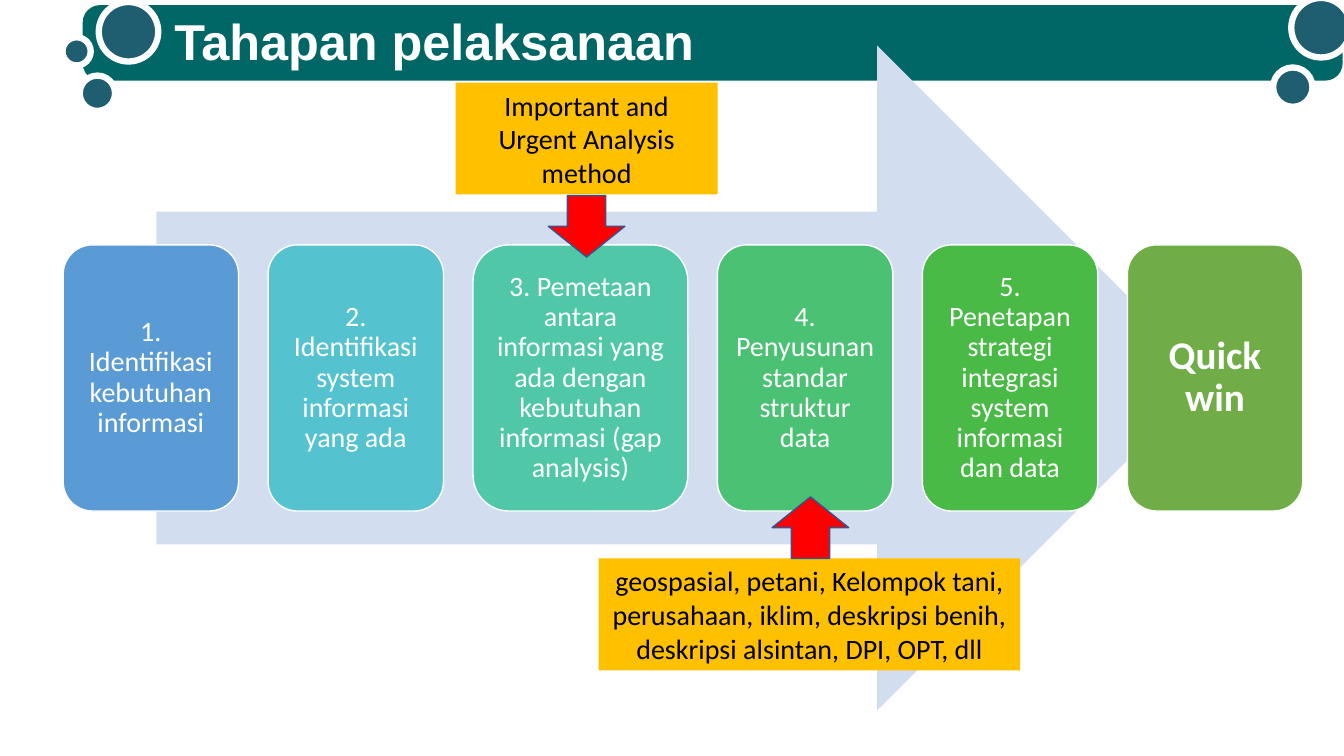
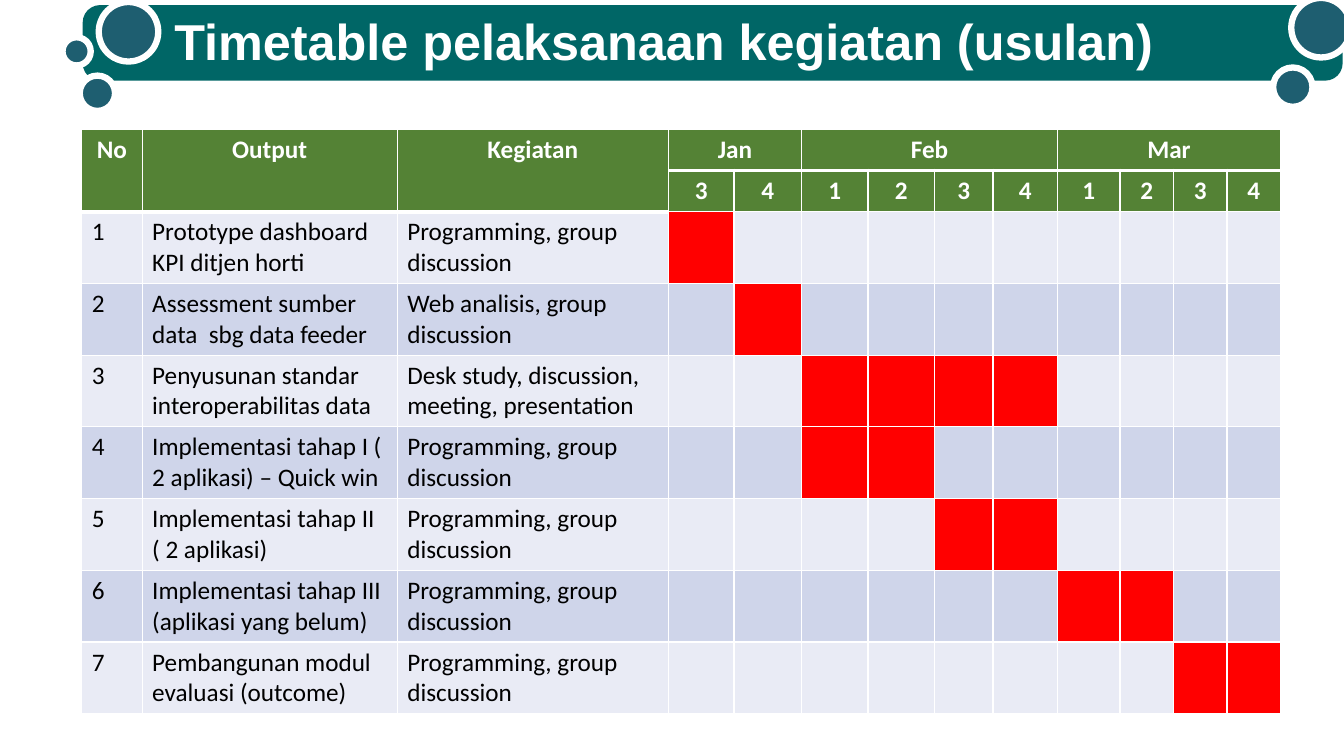
from lxml import etree
from pptx import Presentation, util as u
from pptx.dml.color import RGBColor
from pptx.enum import shapes, text
from pptx.oxml.ns import qn

C = {
    "white": "FFFFFF", "black": "000000", "band": "006666", "bubble": "1E5E70",
    "flow": "D2DEEF", "note": "FFC000", "mark": "FF0000", "mark_line": "325491",
    "head": "548235", "odd": "E9EBF5", "even": "CFD5EA",
}
MSO = shapes.MSO_SHAPE
CENTER = text.PP_ALIGN.CENTER
MIDDLE = text.MSO_ANCHOR.MIDDLE

prs = Presentation()
prs.slide_width, prs.slide_height = u.Inches(13.333), u.Inches(7.5)
# The slide is a grid of 100 columns (X) by 100 rows (Y).
X, Y = prs.slide_width / 100, prs.slide_height / 100


def draw(s, kind, x, y, w, h, fill, line=None, pt=1):
    """Add a flat shape; x and w are in columns, y and h in rows."""
    sp = s.shapes.add_shape(kind, int(x * X), int(y * Y), int(w * X), int(h * Y))
    sp.shadow.inherit = False
    sp.fill.solid()
    sp.fill.fore_color.rgb = RGBColor.from_string(fill)
    if line:
        sp.line.color.rgb = RGBColor.from_string(line)
        sp.line.width = u.Pt(pt)
    else:
        sp.line.fill.background()
    return sp


def write(tf, words, color, size, align=None, spacing=None, **font):
    tf.word_wrap = True
    p = tf.paragraphs[0]
    p.alignment, p.line_spacing = align, spacing
    r = p.add_run()
    r.text = words
    r.font.color.rgb = RGBColor.from_string(color)
    for name, value in {"name": "Calibri", "size": u.Pt(size), **font}.items():
        setattr(r.font, name, value)


# Title band on every slide: left column, top row, diameter in columns
bubbles = [(4.65, 4.93, 2.1), (7.35, 0.27, 4.43), (96.08, -0.27, 4.43),
           (94.73, 8.93, 2.93), (5.93, 10, 2.63)]
slides = []
for title in ["Tahapan pelaksanaan", "Timetable pelaksanaan kegiatan (usulan)"]:
    s = prs.slides.add_slide(prs.slide_layouts[6])
    band = draw(s, MSO.ROUNDED_RECTANGLE, 6.15, 0.67, 93.75, 10, C["band"])
    band.adjustments[0] = 0.23
    for x, y, d in bubbles:
        draw(s, MSO.OVAL, x, y, d, d * X / Y, C["bubble"], C["white"], 4.5)
    tf = s.shapes.add_textbox(int(12.23 * X), int(1.47 * Y),
                              int(86.33 * X), int(8.67 * Y)).text_frame
    tf.vertical_anchor = MIDDLE
    write(tf, title, C["white"], 36, spacing=0.9, name="Arial", bold=True)
    slides.append(s)
stages, timetable = slides

# Stages along the wide arrow
draw(stages, MSO.RIGHT_ARROW, 11.63, 6, 78.38, 88, C["flow"])
steps = [
    ("1. Identifikasi kebutuhan informasi", "5B9BD5", 13.05),
    ("2. Identifikasi system informasi yang ada", "55C3CF", 13.05),
    ("3. Pemetaan antara informasi yang ada dengan kebutuhan informasi "
     "(gap analysis)", "50C8A7", 15.98),
    ("4. Penyusunan standar struktur data", "4BC174", 13.05),
    ("5. Penetapan strategi integrasi system informasi dan data", "4ABA46", 13.05),
    ("Quick win", "70AD47", 13.05),
]
x, gap = 4.7, 2.2
for words, fill, w in steps:
    last = words == steps[-1][0]
    sp = draw(stages, MSO.ROUNDED_RECTANGLE, x, 32.4, w, 35.2, fill, C["white"])
    tf = sp.text_frame
    tf.vertical_anchor = MIDDLE
    for side in ("left", "right", "top", "bottom"):
        setattr(tf, f"margin_{side}", u.Inches(0.12 if last else 0.08))
    write(tf, words, C["white"], 28 if last else 20, CENTER, 0.9, bold=last)
    x += w + gap

# Notes with their red arrows: text, note box, arrow corner, arrow rotation
notes = [
    ("geospasial, petani, Kelompok tani, perusahaan, iklim, deskripsi benih, "
     "deskripsi alsintan, DPI, OPT, dll",
     (44.55, 73.87, 31.35, 14.8), (57.45, 65.73), 180),
    ("Important and Urgent Analysis method",
     (33.9, 10.93, 19.5, 14.8), (40.8, 25.87), 0),
]
for words, box, corner, turn in notes:
    sp = draw(stages, MSO.RECTANGLE, *box, C["note"])
    write(sp.text_frame, words, C["black"], 20, CENTER)
    sp = draw(stages, MSO.DOWN_ARROW, *corner, 5.7, 8.13, C["mark"], C["mark_line"])
    sp.rotation = turn

# Timetable: output, activity, first and last marked week column
talk = "Programming, group discussion"
tasks = [
    ("Prototype dashboard KPI ditjen horti", talk, 3, 3),
    ("Assessment sumber data  sbg data feeder", "Web analisis, group discussion", 4, 4),
    ("Penyusunan standar interoperabilitas data",
     "Desk study, discussion, meeting, presentation", 5, 8),
    ("Implementasi tahap I ( 2 aplikasi) – Quick win", talk, 5, 6),
    ("Implementasi tahap II ( 2 aplikasi)", talk, 7, 8),
    ("Implementasi tahap III (aplikasi yang belum)", talk, 9, 10),
    ("Pembangunan modul evaluasi (outcome)", talk, 11, 12),
]
weeks = "3412341234"
grid = [["No", "Output", "Kegiatan", "Jan", "", "Feb", "", "", "", "Mar", "", "", ""],
        ["", "", "", *weeks]]
grid += [[str(n), t[0], t[1]] + [""] * len(weeks) for n, t in enumerate(tasks, 1)]
cols = [4.5, 18.98, 20.18, 4.88, 5.03, 4.95, 4.95, 4.35, 4.8, 4.65, 3.98, 3.98, 3.98]
rows = [5.47] * 2 + [9.49] * len(tasks)

table = timetable.shapes.add_table(len(rows), len(cols), int(6.08 * X), int(17.07 * Y),
                                   int(sum(cols) * X), int(sum(rows) * Y)).table
table.first_row = table.horz_banding = False
for c, w in enumerate(cols):
    table.columns[c].width = int(w * X)
for r, h in enumerate(rows):
    table.rows[r].height = int(h * Y)
for r0, c0, r1, c1 in [(0, 0, 1, 0), (0, 1, 1, 1), (0, 2, 1, 2),
                       (0, 3, 0, 4), (0, 5, 0, 8), (0, 9, 0, 12)]:
    table.cell(r0, c0).merge(table.cell(r1, c1))

for r, line in enumerate(grid):
    for c, words in enumerate(line):
        cell = table.cell(r, c)
        head = r < 2
        # A heavy rule lies under the months and under the tall header cells.
        top, bottom = [3 if e == 0 or (e == 1 and c < 3) else 1 for e in (r - 1, r)]
        for tag, pt in {"lnL": 1, "lnR": 1, "lnT": top, "lnB": bottom}.items():
            ln = etree.SubElement(cell._tc.get_or_add_tcPr(), qn("a:" + tag),
                                  w=str(u.Pt(pt)))
            solid = etree.SubElement(ln, qn("a:solidFill"))
            etree.SubElement(solid, qn("a:srgbClr"), val=C["white"])
        if head:
            fill = C["head"]
        elif tasks[r - 2][2] <= c <= tasks[r - 2][3]:
            fill = C["mark"]
        else:
            fill = C["even" if r % 2 else "odd"]
        cell.fill.solid()
        cell.fill.fore_color.rgb = RGBColor.from_string(fill)
        if words:
            write(cell.text_frame, words, C["white" if head else "black"], 18,
                  CENTER if head else None, bold=head)

prs.save("out.pptx")
